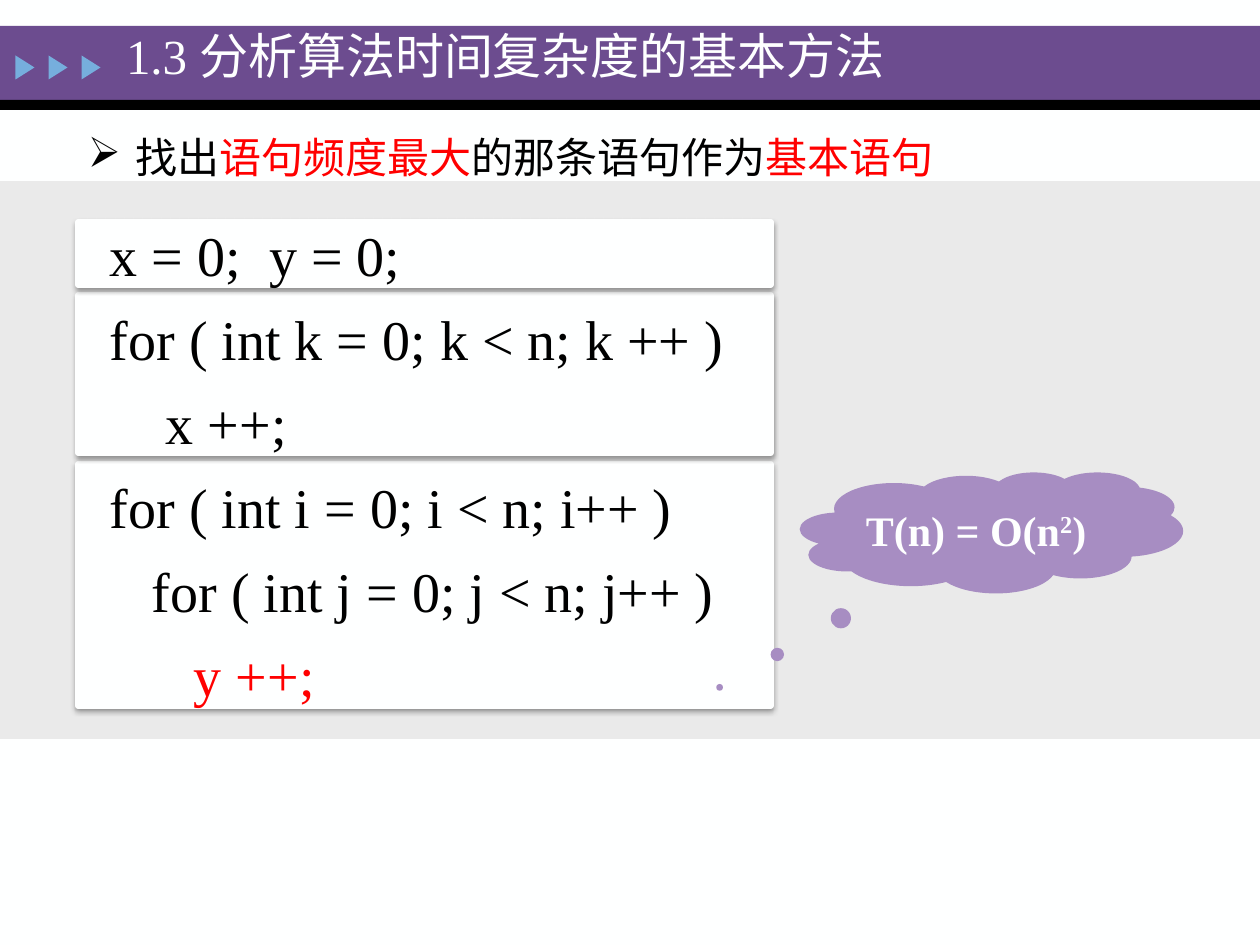
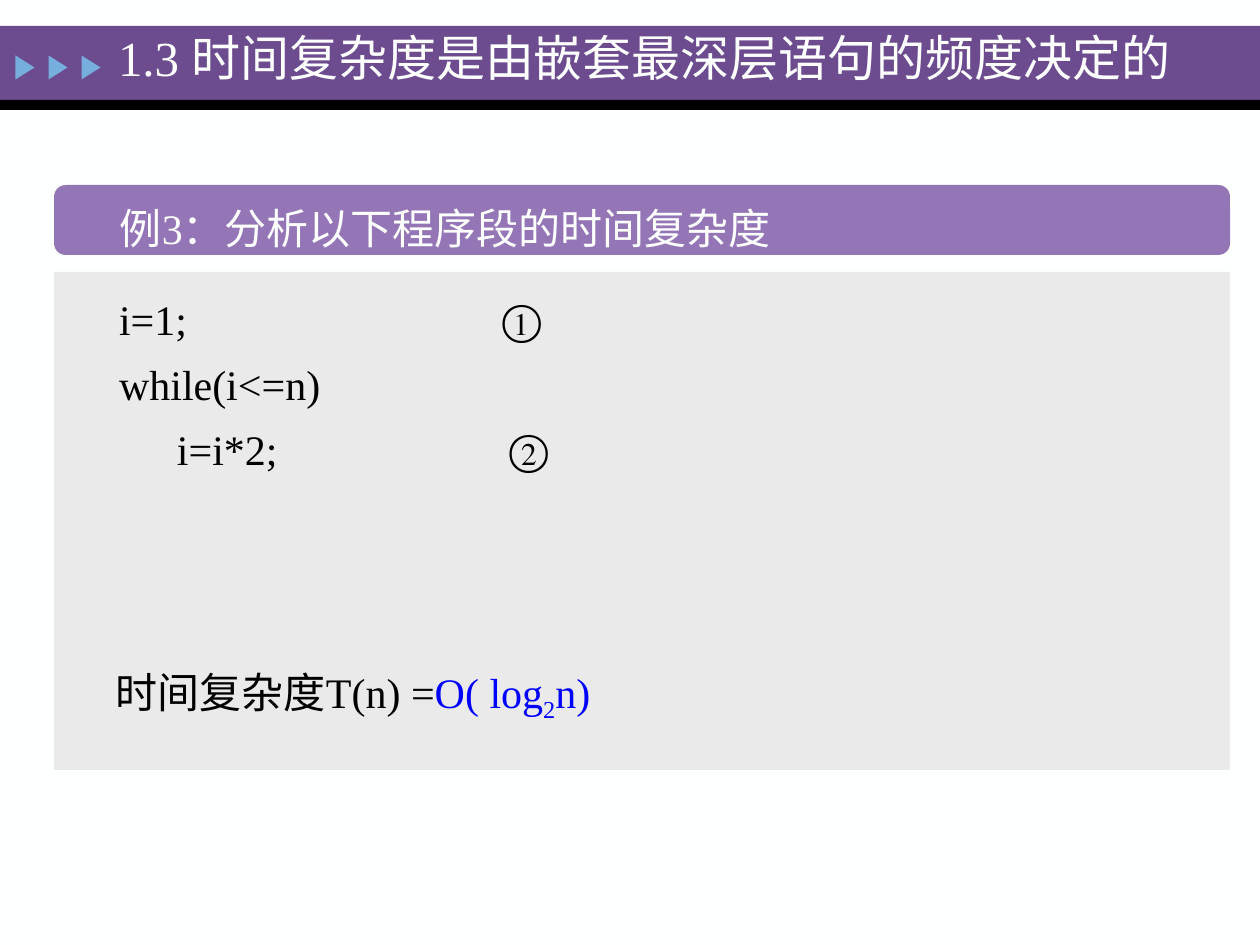
import dataclasses
import typing

import lxml.etree
import pptx
import pptx.dml.color
import pptx.enum.shapes
import pptx.enum.text
import pptx.oxml
import pptx.oxml.ns
import pptx.util

PX = pptx.util.Inches(1) / 126
SHAPE = pptx.enum.shapes.MSO_SHAPE
ANCHOR = pptx.enum.text.MSO_ANCHOR
LATIN, CJK = "Times New Roman", "Noto Sans CJK SC"
COLORS = {
    "paper": "FEFFFF", "ink": "000000", "band": "6C4C8F", "arrow": "76AEDD",
    "panel": "EAEAEA", "banner": "9476B6", "cloud": "A78DC2",
    "key": "FF0000", "answer": "0000FF",
}


class Box(typing.NamedTuple):
    left: int
    top: int
    width: int
    height: int


@dataclasses.dataclass(frozen=True)
class Words:
    text: str
    color: str = "ink"
    size: int = 24
    font: str = LATIN
    bold: bool = False
    baseline: int = 0


@dataclasses.dataclass(frozen=True)
class Line:
    words: list[Words]
    pitch: float | None = None
    bullet: str = ""
    hanging: int = 0
    tabs: tuple[int, ...] = ()


CODE_PITCH, BODY_PITCH = 48, 37.4


def px(length: float) -> int:
    return round(length * PX)


def color_of(name: str) -> pptx.dml.color.RGBColor:
    return pptx.dml.color.RGBColor.from_string(COLORS[name])


def add_child(parent, tag: str, **attributes):
    child = lxml.etree.SubElement(parent, pptx.oxml.ns.qn(tag))
    for name, value in attributes.items():
        child.set(name, str(value))
    return child


def place(shape, box: Box) -> None:
    shape.left, shape.top, shape.width, shape.height = map(px, box)


def add_words(paragraph, words: Words) -> None:
    run = paragraph.add_run()
    run.text = words.text
    run.font.size = pptx.util.Pt(words.size)
    run.font.bold = words.bold
    run.font.color.rgb = color_of(words.color)
    run.font.name = words.font
    properties = run._r.get_or_add_rPr()
    if words.baseline:
        properties.set("baseline", str(words.baseline * 1000))
    if any("\u4e00" <= letter <= "\u9fff" for letter in words.text):
        add_child(properties, "a:ea", typeface=CJK)


def write(shape, lines: list[Line], anchor=ANCHOR.TOP, insets=(13, 6, 13, 6)) -> None:
    frame = shape.text_frame
    frame.word_wrap = True
    frame.auto_size = pptx.enum.text.MSO_AUTO_SIZE.NONE
    frame.vertical_anchor = anchor
    (frame.margin_left, frame.margin_top,
     frame.margin_right, frame.margin_bottom) = map(px, insets)
    for index, line in enumerate(lines):
        paragraph = frame.add_paragraph() if index else frame.paragraphs[0]
        paragraph.alignment = pptx.enum.text.PP_ALIGN.LEFT
        if line.pitch:
            paragraph.line_spacing = pptx.util.Pt(line.pitch)
        properties = paragraph._p.get_or_add_pPr()
        if line.bullet:
            properties.set("marL", str(px(line.hanging)))
            properties.set("indent", str(-px(line.hanging)))
            add_child(properties, "a:buChar", char=line.bullet)
        if line.tabs:
            tab_list = add_child(properties, "a:tabLst")
            for position in line.tabs:
                add_child(tab_list, "a:tab", pos=px(position), algn="l")
        for words in line.words:
            add_words(paragraph, words)


def add_text(slide, box: Box, lines: list[Line], **layout) -> None:
    write(slide.shapes.add_textbox(*map(px, box)), lines, **layout)


def add_filled(slide, kind, box: Box, fill: str):
    shape = slide.shapes.add_shape(kind, *map(px, box))
    shape.shadow.inherit = False
    shape.fill.solid()
    shape.fill.fore_color.rgb = color_of(fill)
    shape.line.fill.background()
    return shape


def add_card(slide, box: Box) -> None:
    """White code panel with a soft shadow below it."""
    card = add_filled(slide, SHAPE.RECTANGLE, box, "paper")
    card.line.color.rgb = color_of("paper")
    card.line.width = pptx.util.Pt(3)
    effects = card._element.spPr.find(pptx.oxml.ns.qn("a:effectLst"))
    shadow = add_child(effects, "a:outerShdw", blurRad=pptx.util.Pt(3.1),
                       dist=pptx.util.Pt(1.6), dir=90 * 60000, rotWithShape=0)
    shade = add_child(shadow, "a:srgbClr", val=COLORS["ink"])
    add_child(shade, "a:alpha", val=38000)


def add_titled_slide(presentation, title: str, title_box: Box):
    slide = presentation.slides.add_slide(presentation.slide_layouts[5])
    add_filled(slide, SHAPE.RECTANGLE, Box(0, 26, 1260, 75), "band")
    add_filled(slide, SHAPE.RECTANGLE, Box(0, 100, 1260, 10), "ink")
    for index in range(3):
        arrow = add_filled(slide, SHAPE.ISOSCELES_TRIANGLE,
                           Box(13 + 33 * index, 58, 24, 19), "arrow")
        arrow.rotation = 90
    heading = slide.shapes.title
    slide.shapes.element.append(heading.element)  # in front of the band
    place(heading, title_box)
    write(heading, [Line([Words(title, "paper", 28)])])
    return slide


def build_basic_statement(presentation) -> None:
    slide = add_titled_slide(presentation, "1.3 分析算法时间复杂度的基本方法",
                             Box(113, 19, 827, 69))
    add_filled(slide, SHAPE.RECTANGLE, Box(0, 181, 1260, 558), "panel")
    for top, height in ((464, 242), (295, 158), (222, 63)):
        add_card(slide, Box(78, top, 693, height))
    code = [
        ("x = 0;  y = 0;", "ink"),
        ("for ( int k = 0; k < n; k ++ )", "ink"),
        ("    x ++;", "ink"),
        ("for ( int i = 0; i < n; i++ )", "ink"),
        ("   for ( int j = 0; j < n; j++ )", "ink"),
        ("      y ++;", "key"),
    ]
    add_text(slide, Box(97, 198, 660, 522),
             [Line([Words(text, color, 32)], CODE_PITCH) for text, color in code])
    rule = [("找出", "ink"), ("语句频度最大", "key"),
            ("的那条语句作为", "ink"), ("基本语句", "key")]
    add_text(slide, Box(73, 109, 1187, 76),
             [Line([Words(text, color, font=CJK) for text, color in rule],
                   BODY_PITCH, "➢", 48)], insets=(15, 8, 15, 8))
    cloud = add_filled(slide, SHAPE.CLOUD_CALLOUT, Box(800, 472, 383, 121), "cloud")
    cloud.adjustments[0], cloud.adjustments[1] = -0.71, 1.28
    write(cloud, [Line([Words("T(n) = O(n", "paper", bold=True),
                        Words("2", "paper", bold=True, baseline=30),
                        Words(")", "paper", bold=True)])],
          anchor=ANCHOR.MIDDLE, insets=(13, 6, 0, 6))


def build_loop_example(presentation) -> None:
    slide = add_titled_slide(presentation, "1.3 时间复杂度是由嵌套最深层语句的频度决定的",
                             Box(105, 22, 1155, 72))
    add_filled(slide, SHAPE.ROUNDED_RECTANGLE, Box(54, 185, 1176, 70), "banner")
    add_text(slide, Box(107, 173, 1071, 95),
             [Line([Words("例3：分析以下程序段的时间复杂度", "paper")], BODY_PITCH)],
             anchor=ANCHOR.MIDDLE)
    panel = add_filled(slide, SHAPE.RECTANGLE, Box(54, 272, 1176, 498), "panel")
    write(panel, [
        Line([Words("i=1;\t①")], BODY_PITCH, tabs=(383,)),
        Line([Words("while(i<=n)")], BODY_PITCH),
        Line([Words("\ti=i*2;\t②")], BODY_PITCH, tabs=(58, 390)),
    ], insets=(65, 6, 13, 6))
    add_text(slide, Box(103, 652, 983, 72), [Line([
        Words("时间复杂度T(n) ="), Words("O( log", "answer"),
        Words("2", "answer", baseline=-25), Words("n)", "answer"),
    ], BODY_PITCH)])


def main() -> None:
    presentation = pptx.Presentation()
    presentation.slide_width, presentation.slide_height = px(1260), px(945)
    background = presentation.slide_master.background.fill
    background.solid()
    background.fore_color.rgb = color_of("paper")
    build_basic_statement(presentation)
    build_loop_example(presentation)
    presentation.save("out.pptx")


if __name__ == "__main__":
    main()
